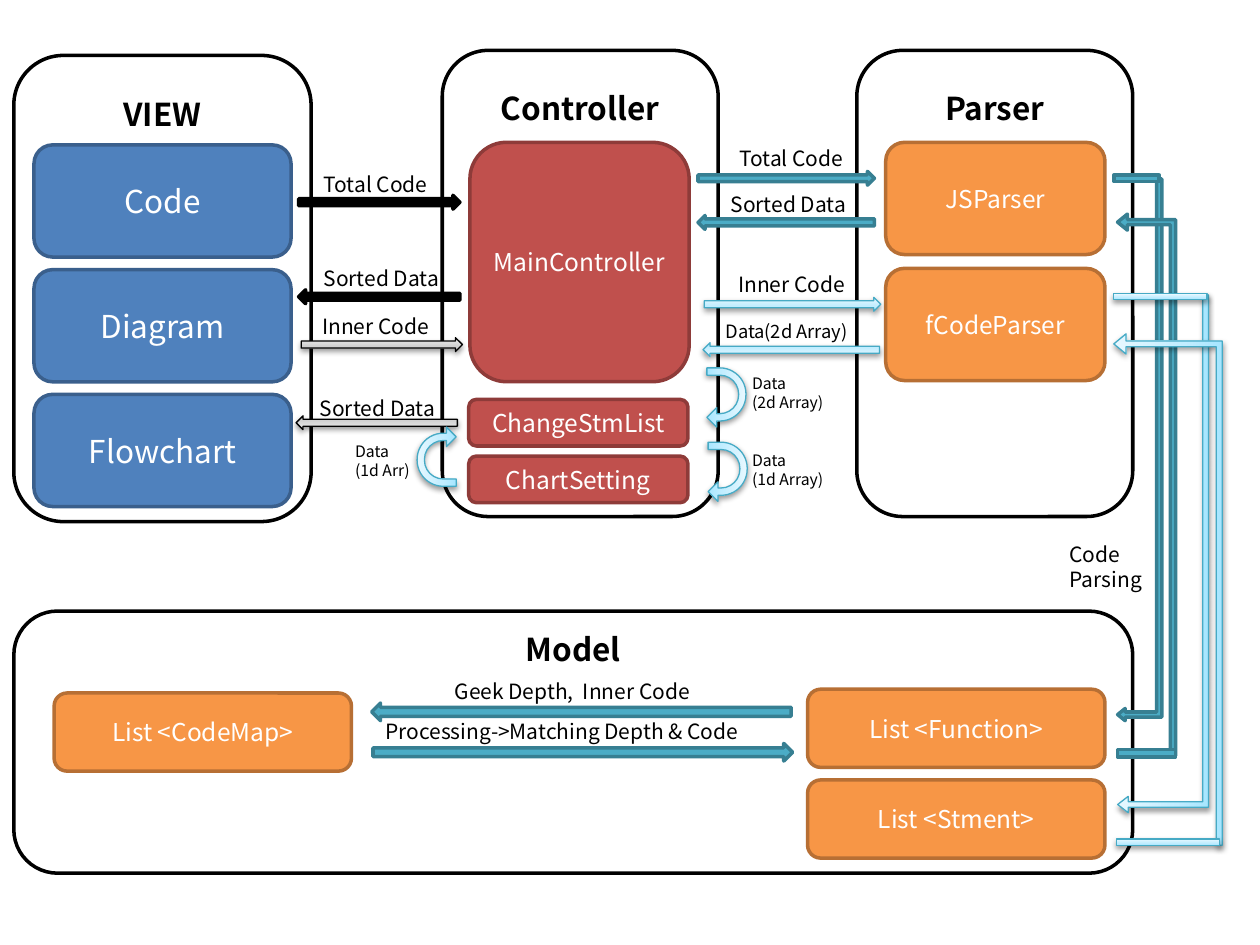
import copy

import lxml.etree
import pptx
import pptx.dml.color
import pptx.enum.shapes
import pptx.enum.text
import pptx.oxml.ns
import pptx.util
from pptx.util import Inches

FONT = "Noto Sans CJK KR"
KIND = pptx.enum.shapes.MSO_SHAPE
ALIGN = pptx.enum.text.PP_ALIGN
ANCHOR = pptx.enum.text.MSO_ANCHOR

# A look is fill (one colour or three gradient colours), line colour, line width
WHITE = ("FFFFFF", "000000", 2)
BLUE = ("4F81BD", "3A5F8C", 2)
RED = ("C0504D", "8E3B39", 2)
ORANGE = ("F79646", "B76F34", 2)
BLACK = ("000000", "000000", 2)
TEAL = ("4BACC6", "377F92", 2)
GRAY = (("BDBDBD", "D1D1D1", "EEEEEE"), "000000", 0.75)
SKY = (("A7E6FF", "C1EDFF", "E7F8FF"), "46AAC5", 0.75)
UTURN = (0.188, 0.25, 0.25, 0.669, 1)


def color(value):
    return pptx.dml.color.RGBColor.from_string(value)


def write(shape, text, size=12, ink="000000", bold=False, align=ALIGN.LEFT,
          anchor=ANCHOR.TOP, spacing=None):
    frame = shape.text_frame
    frame.word_wrap = True
    frame.vertical_anchor = anchor
    for index, line in enumerate(text.split("\n")):
        para = frame.add_paragraph() if index else frame.paragraphs[0]
        para.alignment = align
        para.line_spacing = spacing
        span = para.add_run()
        span.text = line
        span.font.name = FONT
        span.font.size = pptx.util.Pt(size)
        span.font.bold = bold
        span.font.color.rgb = color(ink)


def paint_gradient(shape, colors):
    shape.fill.gradient()
    shape.fill.gradient_angle = 90
    qn = pptx.oxml.ns.qn
    stops = shape.element.spPr.find(".//" + qn("a:gsLst"))
    stops.insert(1, copy.deepcopy(stops[0]))
    for stop, position, value in zip(shape.fill.gradient_stops, (0, 0.35, 1), colors):
        stop.position = position
        stop.color.rgb = color(value)
    # Soft shadow below
    effects = shape.element.spPr.find(qn("a:effectLst"))
    shadow = lxml.etree.SubElement(effects, qn("a:outerShdw"), blurRad="40000",
                                   dist="20000", dir="5400000", rotWithShape="0")
    ink = lxml.etree.SubElement(shadow, qn("a:srgbClr"), val="000000")
    lxml.etree.SubElement(ink, qn("a:alpha"), val="38000")


def draw(page, kind, box, look, turn=0, flip="", adjust=()):
    """Draw a shape that fills box after its turn."""
    left, top, width, height = box
    if turn in (90, 270):
        left, top = left + (width - height) / 2, top + (height - width) / 2
        width, height = height, width
    shape = page.shapes.add_shape(kind, Inches(left), Inches(top),
                                  Inches(width), Inches(height))
    shape.rotation = turn
    for axis in flip:
        shape.element.spPr.xfrm.set("flip" + axis, "1")
    for index, value in enumerate(adjust):
        shape.adjustments[index] = value
    fill, line, weight = look
    shape.shadow.inherit = False
    if isinstance(fill, str):
        shape.fill.solid()
        shape.fill.fore_color.rgb = color(fill)
    else:
        paint_gradient(shape, fill)
    shape.line.color.rgb = color(line)
    shape.line.width = pptx.util.Pt(weight)
    return shape


def add_label(page, text, left, top, width, height=0.3, size=12):
    label = page.shapes.add_textbox(Inches(left), Inches(top),
                                    Inches(width), Inches(height))
    write(label, text, size=size)
    label.text_frame.auto_size = pptx.enum.text.MSO_AUTO_SIZE.SHAPE_TO_FIT_TEXT


def add_panel(page, box, title, parts, look, size=14, spacing=1.5):
    """Draw a titled panel; each part is text and a box relative to the panel."""
    panel = draw(page, KIND.ROUNDED_RECTANGLE, box, WHITE)
    write(panel, title, size=18, bold=True, align=ALIGN.CENTER, spacing=spacing)
    for text, left, top, width, height in parts:
        part = draw(page, KIND.ROUNDED_RECTANGLE,
                    (box[0] + left, box[1] + top, width, height), look)
        write(part, text, size=size, ink="FFFFFF", align=ALIGN.CENTER,
              anchor=ANCHOR.MIDDLE)


def add_view(page, box):
    names = ("Code", "Diagram", "Flowchart")
    parts = [(name, 0.16, 0.71 + 0.99 * row, 2.04, 0.89)
             for row, name in enumerate(names)]
    add_panel(page, box, "VIEW", parts, BLUE, size=18)


def add_controller(page, box):
    parts = [("MainController", 0.22, 0.73, 1.74, 1.9),
             ("ChangeStmList", 0.21, 2.77, 1.74, 0.37),
             ("ChartSetting", 0.21, 3.22, 1.74, 0.37)]
    add_panel(page, box, "Controller", parts, RED)


def add_parser(page, box):
    parts = [(name, 0.23, 0.73 + row, 1.74, 0.89)
             for row, name in enumerate(("JSParser", "fCodeParser"))]
    add_panel(page, box, "Parser", parts, ORANGE)


def add_model(page, box):
    parts = [("List <Function>", 6.3, 0.62, 2.36, 0.62),
             ("List <CodeMap>", 0.32, 0.65, 2.36, 0.62),
             ("List <Stment>", 6.3, 1.34, 2.36, 0.62)]
    add_panel(page, box, "Model", parts, ORANGE, spacing=None)
    left, top = box[:2]
    messages = (("Geek Depth,  Inner Code", 3.4, 0.49, 2.5, 2.84, 0.73, 0),
                ("Processing->Matching Depth & Code", 2.85, 0.8, 3.32, 2.85, 1.05, 180))
    for text, x, y, width, arrow_x, arrow_y, turn in messages:
        draw(page, KIND.LEFT_ARROW, (left + arrow_x, top + arrow_y, 3.33, 0.14),
             TEAL, turn)
        add_label(page, text, left + x, top + y, width)


def add_messages(page, box, messages):
    """Draw labelled arrows in the gap between two panels; box gives arrow size."""
    left, top, width, height = box
    for text, x, y, label_width, size, arrow_x, arrow_y, turn, look in messages:
        add_label(page, text, left + x, top + y, label_width, size=size)
        draw(page, KIND.RIGHT_ARROW, (left + arrow_x, top + arrow_y, width, height),
             look, turn)


def add_loops(page, box):
    """Draw the U-turn arrows beside the controller."""
    left, top = box[:2]
    loops = (("Data\n(2d Array)", 3.15, 0, 0.79, 2.89, 0, ""),
             ("Data\n(1d Array)", 3.15, 0.61, 0.79, 2.9, 0.59, ""),
             ("Data\n(1d Arr)", 0, 0.54, 0.64, 0.59, 0.47, "HV"))
    for text, x, y, width, arrow_x, arrow_y, flip in loops:
        draw(page, KIND.U_TURN_ARROW, (left + arrow_x, top + arrow_y, 0.31, 0.47),
             SKY, 90, flip, UTURN)
        add_label(page, text, left + x, top + y, width, 0.4, size=9)


def add_parsing(page, box):
    """Draw the bent arrows between parser and model, each with its tail bar."""
    left, top = box[:2]
    routes = (
        ((0.48, 0.03, 0.35, 4.3), 270, "H", (0.117, 0.138, 0.17),
         (0.45, 0, 0.36, 0.05), TEAL),
        ((0.48, 0.31, 0.46, 4.3), 90, "HV", (0.089, 0.138, 0.17),
         (0.48, 4.56, 0.46, 0.06), TEAL),
        ((0.48, 0.95, 0.72, 4.11), 270, "H", (0.062, 0.09, 0.116),
         (0.45, 0.94, 0.74, 0.05), SKY),
        ((0.45, 1.26, 0.86, 4.06), 90, "HV", (0.054, 0.093, 0.113),
         (0.47, 5.27, 0.82, 0.05), SKY))
    for bend, turn, flip, adjust, tail, look in routes:
        draw(page, KIND.BENT_UP_ARROW, (left + bend[0], top + bend[1], *bend[2:]),
             look, turn, flip, adjust)
        draw(page, KIND.RECTANGLE, (left + tail[0], top + tail[1], *tail[2:]), look)
    add_label(page, "Code Parsing", left, top + 2.86, 0.82, 0.5)


def main():
    deck = pptx.Presentation()
    deck.slide_width, deck.slide_height = Inches(10), Inches(7.5)
    page = deck.slides.add_slide(deck.slide_layouts[6])
    add_view(page, (0.11, 0.44, 2.36, 3.7))
    add_controller(page, (3.51, 0.4, 2.19, 3.7))
    add_parser(page, (6.8, 0.4, 2.19, 3.7))
    add_model(page, (0.11, 4.85, 8.88, 2.08))
    # Between view and controller
    add_messages(page, (2.35, 1.31, 1.28, 0.11), (
        ("Total Code", 0.12, 0, 1.05, 12, 0.02, 0.24, 0, BLACK),
        ("Sorted Data", 0.12, 0.75, 1.26, 12, 0.02, 0.99, 180, BLACK),
        ("Inner Code", 0.11, 1.13, 1.26, 12, 0.04, 1.37, 0, GRAY),
        ("Sorted Data", 0.09, 1.78, 1.26, 12, 0, 1.99, 180, GRAY)))
    # Between controller and parser
    add_messages(page, (5.54, 1.11, 1.4, 0.11), (
        ("Total Code", 0.23, 0, 1.05, 12, 0, 0.25, 0, TEAL),
        ("Sorted Data", 0.16, 0.36, 1.13, 12, 0, 0.6, 180, TEAL),
        ("Inner Code", 0.22, 1, 1.05, 12, 0.05, 1.25, 0, SKY),
        ("Data(2d Array)", 0.12, 1.38, 1.25, 10.5, 0.04, 1.61, 180, SKY)))
    add_loops(page, (2.72, 2.92, 3.94, 1.08))
    add_parsing(page, (8.39, 1.39, 1.31, 5.32))
    deck.save("out.pptx")


if __name__ == "__main__":
    main()
